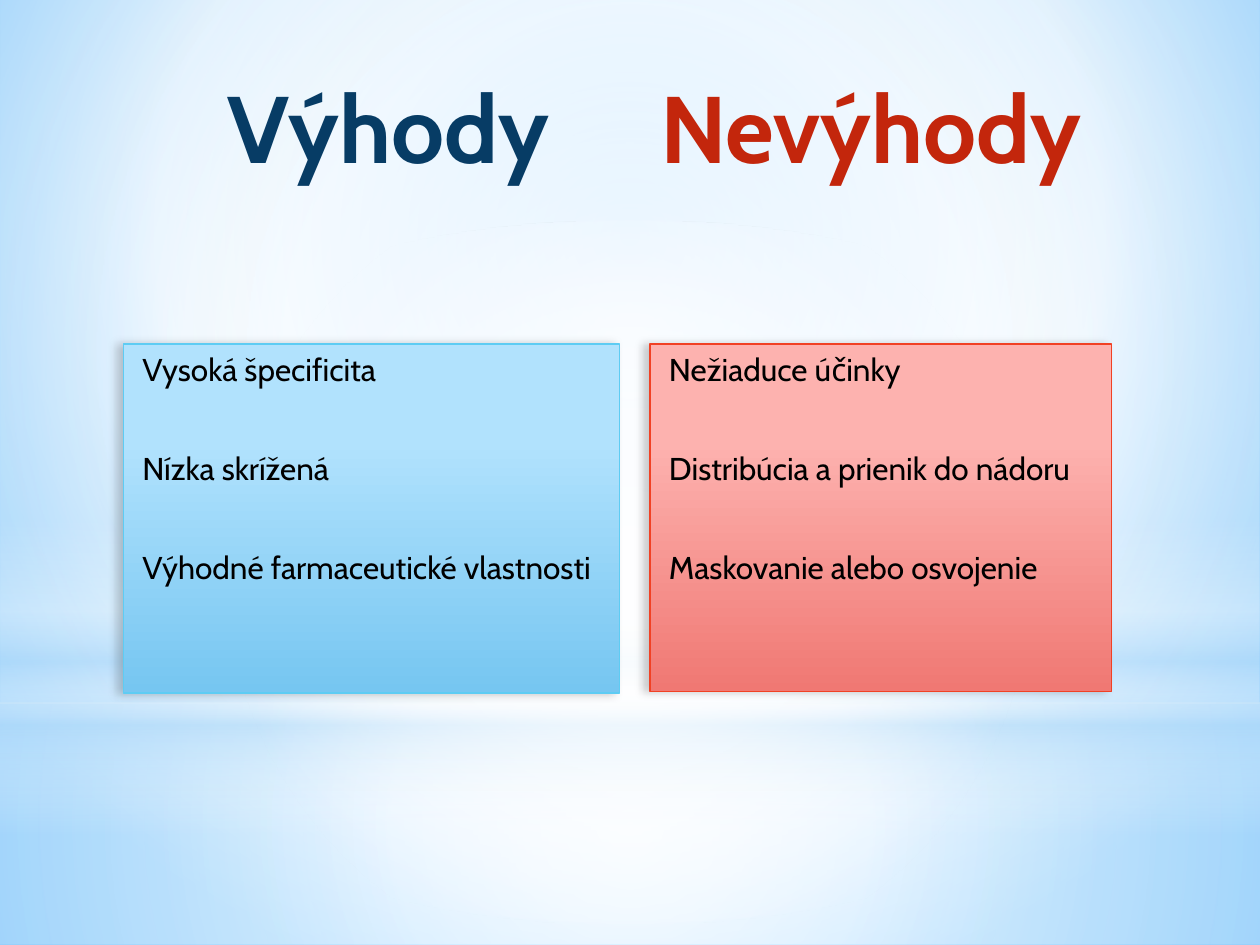
from pptx import Presentation, util as u
from pptx.dml.color import RGBColor
from pptx.enum import shapes, text
from pptx.oxml.ns import qn
from lxml import etree

W, H = 10, 7.5
KIND = shapes.MSO_SHAPE

THEME = {
    "font": "Cabin", "head": 54, "body": 18, "ink": "000000",
    "white": "FFFFFF", "haze": "B4DCFA",
    "back": [(0, "9ED5FF", 100), (60, "FFFFFF", 100), (100, "5BB9FF", 100)],
    "pro": {"head": "073C65", "line": "5ECCF3",
            "fill": [(28, "B1E2FD", 100), (100, "76C6F1", 100)]},
    "con": {"head": "C3260C", "line": "F14124",
            "fill": [(28, "FDB2AF", 100), (100, "F07873", 100)]},
}


def add(node, tag, **attrs):
    return etree.SubElement(node, qn(tag), {k: str(v) for k, v in attrs.items()})


def tint(node, code, alpha):
    add(add(node, "a:srgbClr", val=code), "a:alpha", val=alpha * 1000)


def blend(owner, root, stops, focus=None):
    """Gradient from the top down, or round a focus (left, top, right, bottom)."""
    owner.fill.gradient()
    grad = next(root.iter(qn("a:gradFill")))
    for child in list(grad):
        grad.remove(child)
    row = add(grad, "a:gsLst")
    for pos, code, alpha in stops:
        tint(add(row, "a:gs", pos=pos * 1000), code, alpha)
    if focus:
        ring = add(grad, "a:path", path="circle")
        add(ring, "a:fillToRect", **{k: v * 1000 for k, v in zip("ltrb", focus)})
    else:
        add(grad, "a:lin", ang=90 * 60000, scaled=0)


def block(slide, kind, box, stops, focus=None):
    form = slide.shapes.add_shape(kind, *map(u.Inches, box))
    form.shadow.inherit = False
    form.line.fill.background()
    blend(form, form._element, stops, focus)
    return form


def write(frame, lines, form, size, code, bold=False, **anchor):
    """Set the lines as paragraphs that share one format."""
    for key, val in {"word_wrap": True, **anchor}.items():
        setattr(frame, key, val)
    for n, line in enumerate(lines):
        para = frame.paragraphs[0] if n == 0 else frame.add_paragraph()
        para.text = line
        for key, val in form.items():
            if n or key != "space_before":
                setattr(para, key, val)
        for key, val in {"name": THEME["font"], "size": u.Pt(size), "bold": bold}.items():
            setattr(para.font, key, val)
        para.font.color.rgb = RGBColor.from_string(code)


def scene(slide):
    """Sky, floor, horizon band and central glow."""
    white, haze = THEME["white"], THEME["haze"]
    mid, edge = (50,) * 4, 5.58
    blend(slide.background, slide._element, THEME["back"], (20, 10, 20, 60))
    block(slide, KIND.RECTANGLE, (0, edge, W, H - edge),
          [(0, white, 91), (37, white, 76), (100, haze, 79)], mid)
    block(slide, KIND.RECTANGLE, (0, 0, W, edge),
          [(0, white, 89), (48, white, 62), (100, haze, 79)], mid)
    block(slide, KIND.RECTANGLE, (0, 0.55 * H, W, H / 3),
          [(0, white, 0), (29, white, 30), (45, haze, 40),
           (55, white, 26), (65, haze, 60), (100, white, 0)])
    block(slide, KIND.OVAL, (0, 1.75, W, edge),
          [(0, white, 100), (56, white, 0)], mid)


def title(slide, box, words, code):
    label = slide.shapes.add_textbox(*map(u.Inches, box))
    write(label.text_frame, [words], {"alignment": text.PP_ALIGN.CENTER},
          THEME["head"], code, True, vertical_anchor=text.MSO_ANCHOR.BOTTOM)


def panel(slide, box, lines, look):
    card = block(slide, KIND.RECTANGLE, box, look["fill"])
    card.line.color.rgb = RGBColor.from_string(look["line"])
    card.line.width = u.Pt(0.75)
    # Soft shadow on the left
    glow = add(card._element.spPr.find(qn("a:effectLst")), "a:outerShdw",
               blurRad=u.Pt(5), dist=u.Pt(4), dir=180 * 60000, rotWithShape=0)
    tint(glow, THEME["ink"], 20)
    # Wide gaps between the points
    form = {"alignment": text.PP_ALIGN.LEFT, "space_before": u.Pt(32),
            "space_after": u.Pt(3)}
    write(card.text_frame, lines, form, THEME["body"], THEME["ink"],
          vertical_anchor=text.MSO_ANCHOR.TOP, margin_left=u.Inches(0.15))


def main():
    deck = Presentation()
    deck.slide_width, deck.slide_height = u.Inches(W), u.Inches(H)
    slide = deck.slides.add_slide(deck.slide_layouts[6])
    scene(slide)
    sides = [
        ("pro", "Výhody", 1.25, (0.98, 2.73, 3.94, 2.77),
         ["Vysoká špecificita", "Nízka skrížená", "Výhodné farmaceutické vlastnosti"]),
        ("con", "Nevýhody", 5.08, (5.16, 2.73, 3.66, 2.76),
         ["Nežiaduce účinky", "Distribúcia a prienik do nádoru",
          "Maskovanie alebo osvojenie"]),
    ]
    for key, words, left, box, lines in sides:
        look = THEME[key]
        title(slide, (left, 0.8, 3.66, 0.7), words, look["head"])
        panel(slide, box, lines, look)
    deck.save("out.pptx")


if __name__ == "__main__":
    main()
